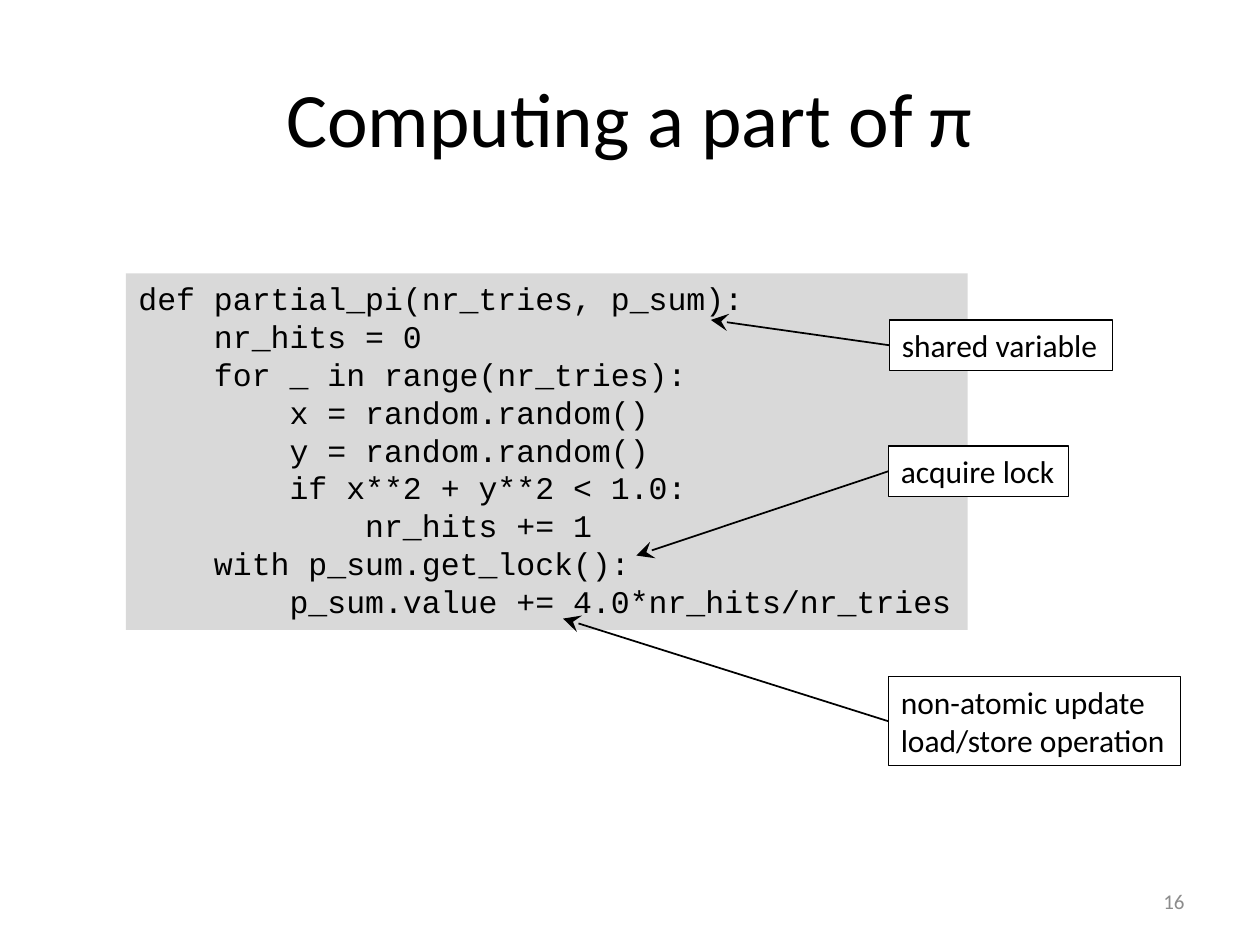
from lxml.etree import SubElement
from pptx import Presentation
from pptx.dml.color import RGBColor
from pptx.enum.shapes import MSO_CONNECTOR, MSO_SHAPE
from pptx.enum.text import MSO_ANCHOR, PP_ALIGN
from pptx.oxml.ns import qn
from pptx.util import Cm, Pt

BLACK = RGBColor(0x00, 0x00, 0x00)
WHITE = RGBColor(0xFF, 0xFF, 0xFF)
CODE_GREY = RGBColor(0xD9, 0xD9, 0xD9)
NUMBER_GREY = RGBColor(0x8C, 0x8C, 0x8C)

CODE = """def partial_pi(nr_tries, p_sum):
    nr_hits = 0
    for _ in range(nr_tries):
        x = random.random()
        y = random.random()
        if x**2 + y**2 < 1.0:
            nr_hits += 1
    with p_sum.get_lock():
        p_sum.value += 4.0*nr_hits/nr_tries"""

CALLOUTS = [
    ("shared variable", (17.93, 6.45, 4.5, 1.02), (14.33, 6.45)),
    ("non-atomic update\vload/store operation", (17.91, 13.64, 5.89, 1.8), (11.35, 12.47)),
    ("acquire lock", (17.91, 8.99, 3.63, 1.02), (12.83, 11.2)),
]


def write(s, text, size, font="Calibri", color=BLACK, align=PP_ALIGN.LEFT,
          anchor=MSO_ANCHOR.TOP, wrap=False):
    """Fill a shape with text in one uniform style."""
    tf = s.text_frame
    tf.text = text
    tf.word_wrap = wrap
    tf.vertical_anchor = anchor
    for p in tf.paragraphs:
        p.alignment = align
        for r in p.runs:
            r.font.size = Pt(size)
            r.font.name = font
            r.font.color.rgb = color


def add_label(shapes, box, text, **style):
    """Place a plain, vertically centred text box."""
    s = shapes.add_textbox(*map(Cm, box))
    write(s, text, anchor=MSO_ANCHOR.MIDDLE, wrap=True, **style)


def add_panel(shapes, box, text, fill, font="Calibri", outlined=True):
    """Place a filled rectangle holding left-aligned text."""
    s = shapes.add_shape(MSO_SHAPE.RECTANGLE, *map(Cm, box))
    s.shadow.inherit = False
    s.fill.solid()
    s.fill.fore_color.rgb = fill
    if outlined:
        s.line.color.rgb = BLACK
        s.line.width = Pt(0.75)
    else:
        s.line.fill.background()
    write(s, text, 18, font)


def add_arrow(shapes, start, end):
    """Draw a thin line with a stealth arrowhead at its end."""
    s = shapes.add_connector(MSO_CONNECTOR.STRAIGHT, *map(Cm, start + end))
    s.line.color.rgb = BLACK
    s.line.width = Pt(1)
    SubElement(s.line._get_or_add_ln(), qn("a:tailEnd"), type="stealth", w="lg", len="lg")
    SubElement(s._element.spPr, qn("a:effectLst"))


def add_callout(shapes, box, text, target):
    """Group a label with an arrow from its left middle to a target."""
    group = shapes.add_group_shape().shapes
    left, top, _, height = box
    add_panel(group, box, text, WHITE)
    add_arrow(group, (left, top + height / 2), target)


def build_slide(prs):
    """Lay out the title, code panel, callouts and slide number."""
    shapes = prs.slides.add_slide(prs.slide_layouts[6]).shapes
    add_label(shapes, (1.27, 0.76, 22.86, 3.18), "Computing a part of π",
              size=44, align=PP_ALIGN.CENTER)
    add_panel(shapes, (2.54, 5.51, 16.97, 7.19), CODE, CODE_GREY, "Courier New", False)
    for text, box, target in CALLOUTS:
        add_callout(shapes, box, text, target)
    add_label(shapes, (18.2, 17.66, 5.93, 1.01), "16",
              size=12, color=NUMBER_GREY, align=PP_ALIGN.RIGHT)


prs = Presentation()
prs.slide_width, prs.slide_height = Cm(25.4), Cm(19.05)
build_slide(prs)
prs.save("out.pptx")
